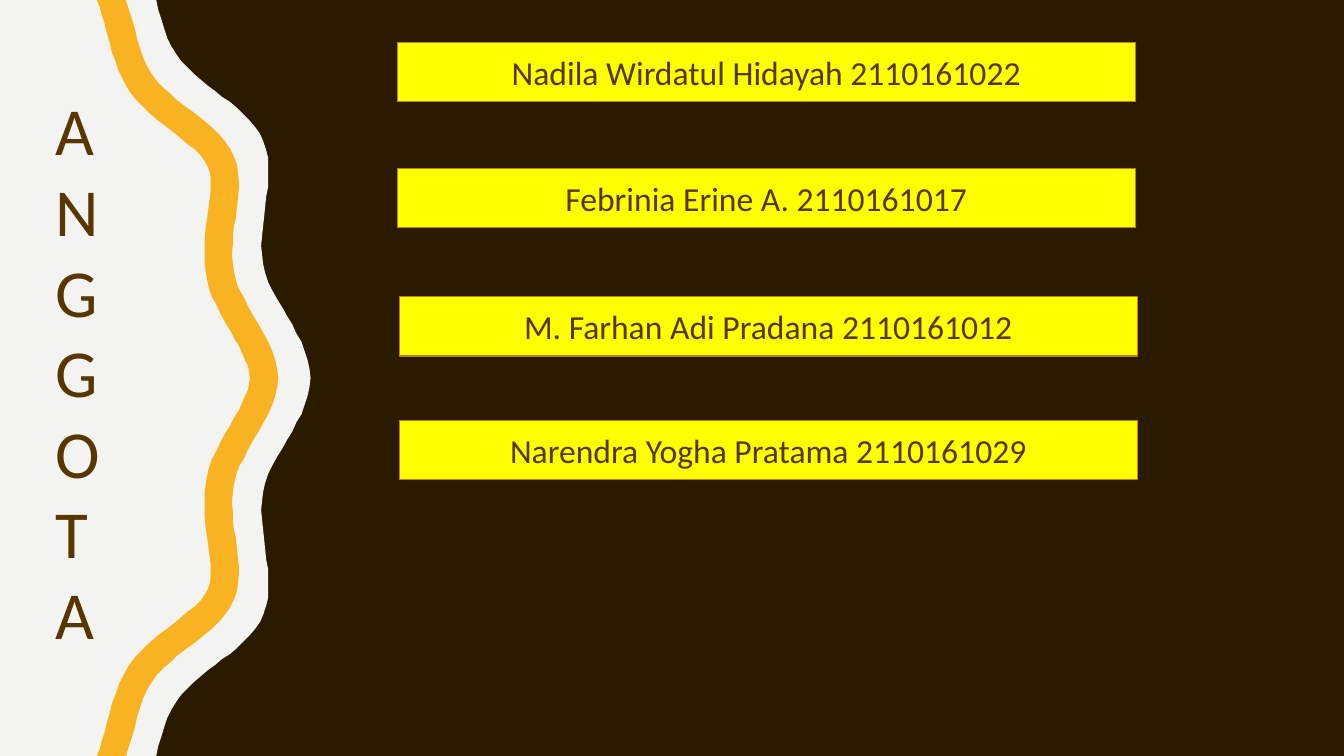
from dataclasses import dataclass

from pptx import Presentation
from pptx.dml.color import RGBColor as Rgb
from pptx.enum.shapes import MSO_SHAPE as Preset
from pptx.enum.text import MSO_ANCHOR as Anchor, PP_ALIGN as Align
from pptx.util import Inches, Pt


@dataclass(frozen=True)
class Theme:
    background: Rgb = Rgb.from_string("2A1A00")
    panel: Rgb = Rgb.from_string("F3F3F2")
    ribbon: Rgb = Rgb.from_string("F8B323")
    bar: Rgb = Rgb.from_string("FFFF00")
    bar_line: Rgb = Rgb.from_string("B48219")
    ink: Rgb = Rgb.from_string("583600")
    font: str = "Calibri"
    title_size: Pt = Pt(48)
    name_size: Pt = Pt(24)


THEME = Theme()
WIDTH, HEIGHT = 13.33, 7.5

# Upper halves of the wavy edges as (x, y); the lower halves mirror them
PANEL_EDGE = [
    (1.55, 0), (1.57, 0.1), (1.6, 0.19), (1.63, 0.29), (1.66, 0.38), (1.7, 0.46),
    (1.75, 0.54), (1.8, 0.61), (1.86, 0.67), (1.92, 0.73), (1.99, 0.79), (2.06, 0.85),
    (2.13, 0.9), (2.2, 0.96), (2.28, 1.01), (2.35, 1.07), (2.41, 1.13), (2.47, 1.19),
    (2.53, 1.26), (2.58, 1.33), (2.61, 1.4), (2.64, 1.49), (2.66, 1.57), (2.66, 1.67),
    (2.66, 1.76), (2.66, 1.85), (2.64, 1.95), (2.63, 2.05), (2.62, 2.15), (2.61, 2.24),
    (2.6, 2.34), (2.59, 2.44), (2.6, 2.53), (2.61, 2.62), (2.63, 2.71), (2.66, 2.8),
    (2.7, 2.88), (2.75, 2.97), (2.8, 3.05), (2.85, 3.14), (2.9, 3.22), (2.94, 3.31),
    (2.99, 3.39), (3.02, 3.48), (3.05, 3.57), (3.07, 3.66), (3.08, 3.75),
]
RIBBON_RIGHT = [
    (1.25, 0), (1.28, 0.1), (1.31, 0.19), (1.34, 0.29), (1.36, 0.39), (1.39, 0.48),
    (1.42, 0.57), (1.46, 0.66), (1.51, 0.74), (1.56, 0.81), (1.62, 0.87), (1.69, 0.93),
    (1.75, 0.99), (1.83, 1.05), (1.9, 1.1), (1.98, 1.16), (2.05, 1.22), (2.11, 1.27),
    (2.18, 1.34), (2.23, 1.4), (2.28, 1.47), (2.32, 1.55), (2.35, 1.63), (2.36, 1.71),
    (2.37, 1.8), (2.37, 1.88), (2.36, 1.97), (2.35, 2.06), (2.34, 2.16), (2.32, 2.25),
    (2.31, 2.34), (2.31, 2.43), (2.3, 2.52), (2.31, 2.61), (2.32, 2.69), (2.34, 2.78),
    (2.37, 2.87), (2.42, 2.95), (2.46, 3.04), (2.51, 3.13), (2.56, 3.21), (2.61, 3.3),
    (2.66, 3.39), (2.7, 3.48), (2.73, 3.57), (2.75, 3.66), (2.76, 3.75),
]
RIBBON_LEFT = [
    (0.96, 0), (0.99, 0.07), (1.01, 0.15), (1.04, 0.24), (1.06, 0.33), (1.09, 0.43),
    (1.11, 0.52), (1.15, 0.62), (1.18, 0.71), (1.23, 0.81), (1.28, 0.9), (1.34, 0.98),
    (1.41, 1.05), (1.48, 1.12), (1.56, 1.19), (1.64, 1.25), (1.72, 1.31), (1.79, 1.37),
    (1.86, 1.43), (1.93, 1.48), (1.99, 1.54), (2.03, 1.6), (2.06, 1.65), (2.08, 1.71),
    (2.09, 1.77), (2.09, 1.83), (2.09, 1.9), (2.08, 1.98), (2.07, 2.05), (2.06, 2.13),
    (2.04, 2.26), (2.03, 2.38), (2.03, 2.5), (2.03, 2.62), (2.05, 2.75), (2.07, 2.85),
    (2.1, 2.94), (2.15, 3.03), (2.19, 3.12), (2.24, 3.21), (2.29, 3.29), (2.33, 3.37),
    (2.37, 3.43), (2.4, 3.5), (2.43, 3.57), (2.46, 3.63), (2.47, 3.69), (2.48, 3.75),
]

# Each member with the offset of the bar from the top left of the list
MEMBERS = [
    ("Nadila Wirdatul Hidayah 2110161022", 0, 0),
    ("Febrinia Erine A. 2110161017", 0, 1.25),
    ("M. Farhan Adi Pradana 2110161012", 0.02, 2.52),
    ("Narendra Yogha Pratama 2110161029", 0.02, 3.75),
]


def mirrored(edge):
    """Extend an upper half edge down to the bottom of the page."""
    return edge + [(x, HEIGHT - y) for x, y in reversed(edge[:-1])]


def style_text(frame, size):
    for para in frame.paragraphs:
        for span in para.runs:
            span.font.name = THEME.font
            span.font.size = size
            span.font.color.rgb = THEME.ink


def add_outline(page, left, top, points, color):
    start, *rest = [(Inches(x), Inches(y)) for x, y in points]
    builder = page.shapes.build_freeform(*start)
    builder.add_line_segments(rest, close=True)
    outline = builder.convert_to_shape(Inches(left), Inches(top))
    outline.shadow.inherit = False
    outline.fill.solid()
    outline.fill.fore_color.rgb = color
    outline.line.fill.background()


def add_wave_panel(page, left, top):
    panel = [(0, 0), *mirrored(PANEL_EDGE), (0, HEIGHT)]
    ribbon = mirrored(RIBBON_RIGHT) + mirrored(RIBBON_LEFT)[::-1]
    add_outline(page, left, top, panel, THEME.panel)
    add_outline(page, left, top, ribbon, THEME.ribbon)


def add_vertical_title(page, left, top, width, height, word):
    box = page.shapes.add_textbox(Inches(left), Inches(top), Inches(width), Inches(height))
    frame = box.text_frame
    frame.word_wrap = True
    frame.text = "\n".join(word)
    style_text(frame, THEME.title_size)


def add_member_list(page, left, top, width, bar_height):
    for name, shift, drop in MEMBERS:
        bar = page.shapes.add_shape(
            Preset.RECTANGLE, Inches(left + shift), Inches(top + drop),
            Inches(width), Inches(bar_height))
        bar.shadow.inherit = False
        bar.fill.solid()
        bar.fill.fore_color.rgb = THEME.bar
        bar.line.color.rgb = THEME.bar_line
        bar.line.width = Pt(1)
        frame = bar.text_frame
        frame.word_wrap = True
        frame.vertical_anchor = Anchor.MIDDLE
        frame.text = name
        frame.paragraphs[0].alignment = Align.CENTER
        style_text(frame, THEME.name_size)


def main():
    deck = Presentation()
    deck.slide_width, deck.slide_height = Inches(WIDTH), Inches(HEIGHT)
    page = deck.slides.add_slide(deck.slide_layouts[6])
    page.background.fill.solid()
    page.background.fill.fore_color.rgb = THEME.background

    add_wave_panel(page, 0, 0)
    add_vertical_title(page, 0.45, 0.83, 0.76, 5.76, "ANGGOTA")
    add_member_list(page, 3.94, 0.42, 7.32, 0.59)
    deck.save("out.pptx")


if __name__ == "__main__":
    main()
